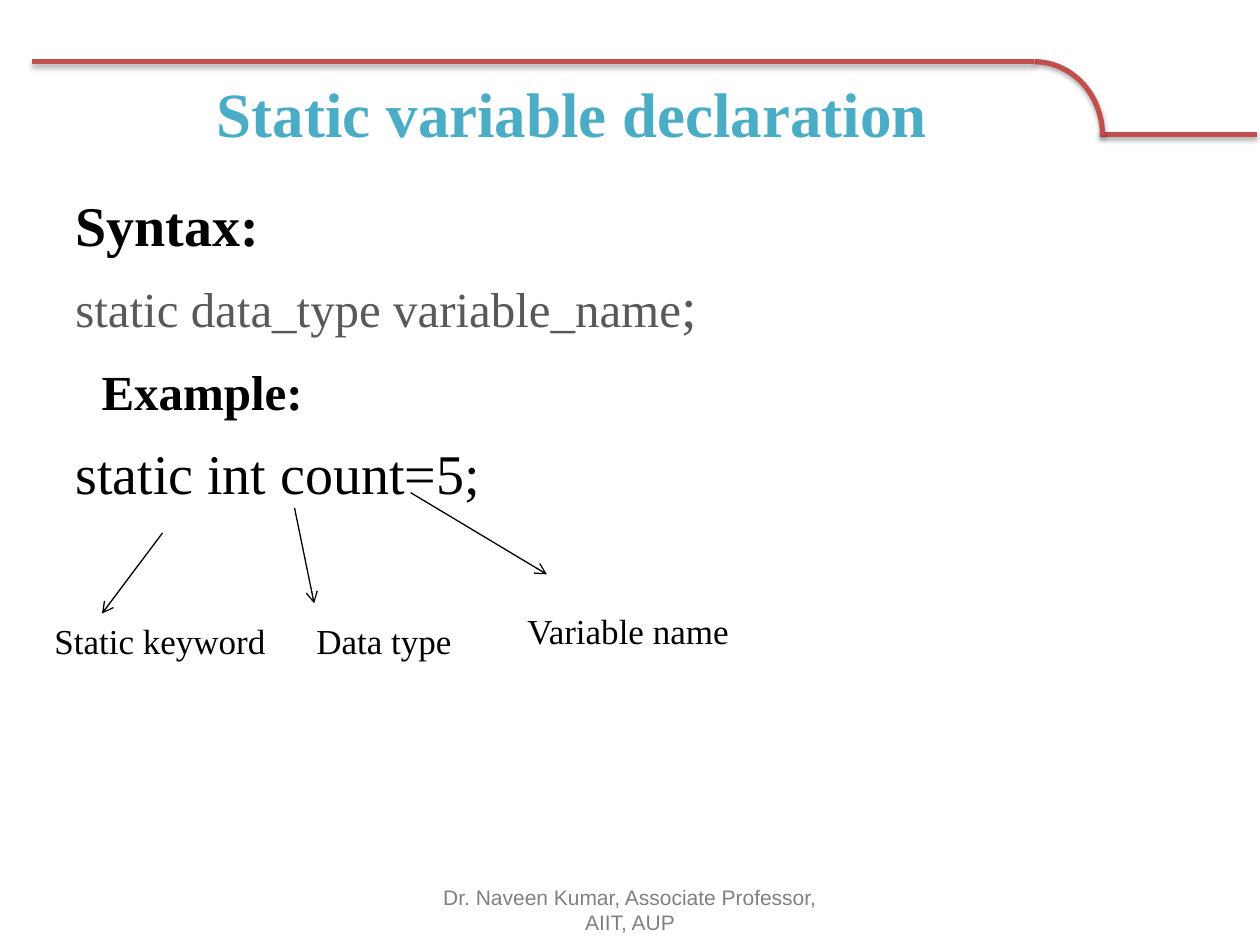
"""Builds the slide on declaring a static variable."""
from lxml.etree import SubElement
from pptx import Presentation
from pptx.dml.color import RGBColor
from pptx.enum.shapes import MSO_CONNECTOR as Connector, MSO_SHAPE as Shape
from pptx.enum.text import MSO_ANCHOR as Anchor, PP_ALIGN as Align
from pptx.oxml.ns import qn
from pptx.util import Pt

COLORS = {
    "rule": "C0504D",
    "title": "4BACC6",
    "text": "000000",
    "syntax": "595959",
    "footer": "808080",
    "shadow": "000000",
}


class SlideBuilder:
    """Holds the style and the current slide."""

    def __init__(self, slide, font="Times New Roman"):
        self.slide = slide
        self.font = font

    def color(self, name):
        """Return the named colour."""
        return RGBColor.from_string(COLORS[name])

    def style(self, font, size, color="text", bold=False, face=None):
        """Set size, colour, weight and face of a font."""
        font.name = face or self.font
        font.size = Pt(size)
        font.bold = bold
        font.color.rgb = self.color(color)

    def effects(self, shape, shadow):
        """Give a shape a soft drop shadow or none."""
        effect_list = SubElement(shape._element.spPr, qn("a:effectLst"))
        if shadow:
            outer = SubElement(
                effect_list, qn("a:outerShdw"), blurRad=str(Pt(3.1)),
                dist=str(Pt(1.8)), dir="5400000", rotWithShape="0")
            tint = SubElement(outer, qn("a:srgbClr"), val=COLORS["shadow"])
            SubElement(tint, qn("a:alpha"), val="35000")

    def line(self, start, end, color, width, shadow=False):
        """Draw a straight line between two points."""
        connector = self.slide.shapes.add_connector(
            Connector.STRAIGHT, *map(Pt, start + end))
        connector.line.color.rgb = self.color(color)
        connector.line.width = Pt(width)
        self.effects(connector, shadow)
        return connector

    def arrow(self, start, end):
        """Draw a thin arrow with an open head."""
        connector = self.line(start, end, "text", 0.75)
        SubElement(connector.line._get_or_add_ln(), qn("a:tailEnd"), type="arrow")

    def arc(self, box, color, width):
        """Draw a shadowed quarter arc."""
        curve = self.slide.shapes.add_shape(Shape.ARC, *map(Pt, box))
        curve.fill.background()
        curve.line.color.rgb = self.color(color)
        curve.line.width = Pt(width)
        self.effects(curve, True)

    def frame(self, box, anchor=Anchor.TOP):
        """Add a wrapping text box and return its frame."""
        frame = self.slide.shapes.add_textbox(*map(Pt, box)).text_frame
        frame.word_wrap = True
        frame.vertical_anchor = anchor
        return frame

    def text(self, box, words, size, align=Align.LEFT, anchor=Anchor.TOP, **look):
        """Add a box with one paragraph."""
        paragraph = self.frame(box, anchor).paragraphs[0]
        paragraph.text = words
        paragraph.alignment = align
        self.style(paragraph.font, size, **look)

    def body(self, box, rows):
        """Add a box with rows of space before, indent and styled runs."""
        frame = self.frame(box)
        frame.margin_top = Pt(6.6)
        for index, (space, indent, runs) in enumerate(rows):
            paragraph = frame.add_paragraph() if index else frame.paragraphs[0]
            paragraph.space_before = Pt(space)
            paragraph._p.get_or_add_pPr().set("marL", str(Pt(indent)))
            for words, size, color, bold in runs:
                run = paragraph.add_run()
                run.text = words
                self.style(run.font, size, color, bold)


def main():
    """Build and save the slide."""
    deck = Presentation()
    deck.slide_width, deck.slide_height = Pt(720), Pt(540)
    builder = SlideBuilder(deck.slides.add_slide(deck.slide_layouts[6]))

    builder.line((628.5, 77), (718.5, 77), "rule", 3, shadow=True)
    builder.arc((552.2, 35.3, 77.8, 84.2), "rule", 3)
    builder.line((591, 35.3), (18, 35.3), "rule", 3, shadow=True)

    builder.text((36, 38.2, 581.8, 51.8), "Static variable declaration", 36,
                 Align.CENTER, Anchor.MIDDLE, color="title", bold=True)
    builder.body((36, 102.2, 648, 396), [
        (0, 0, [("Syntax:", 32, "text", True)]),
        (8.2, 0, [("static data_type variable_name", 28, "syntax", False),
                  (";", 32, "syntax", False)]),
        (13, 15, [("Example:", 28, "text", True)]),
        (10.4, 0, [("static int count=5;", 32, "text", False)]),
    ])

    parts = [
        ("Static keyword", (24, 350.6), (92.9, 304.5), (58.3, 350.6)),
        ("Data type", (173.7, 350.6), (168.3, 290.2), (179.5, 344.8)),
        ("Variable name", (294.3, 344.8), (234.6, 281.5), (312.5, 328.2)),
    ]
    for label, corner, start, end in parts:
        builder.text(corner + (139, 31.5), label, 20)
        builder.arrow(start, end)

    builder.text((246, 505.5, 228, 28.8),
                 "Dr. Naveen Kumar, Associate Professor, AIIT, AUP", 12,
                 Align.CENTER, Anchor.MIDDLE, color="footer", face="Arial")
    deck.save("out.pptx")


if __name__ == "__main__":
    main()
